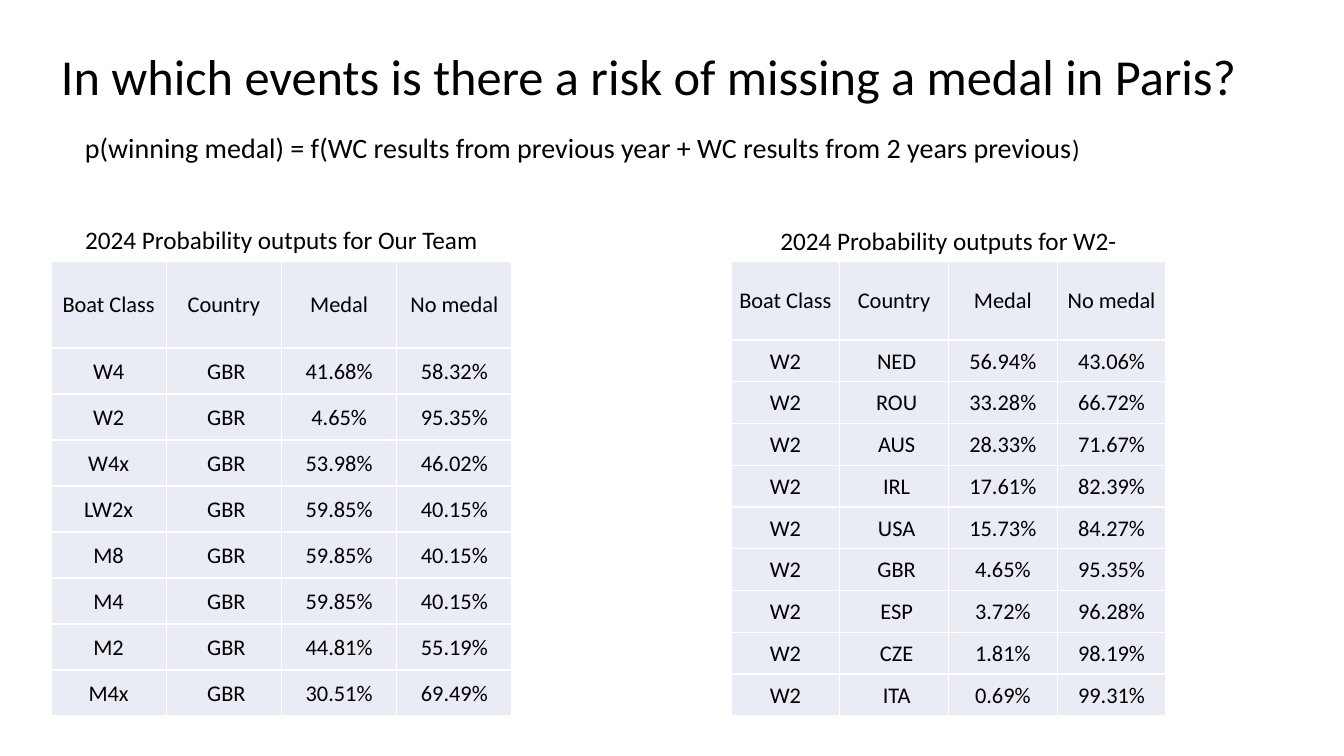
from lxml import etree
from pptx import Presentation
from pptx import util as u
from pptx.dml import color
from pptx.enum import text
from pptx.oxml import ns

SCALE = 914400 / 100.8  # EMU per pixel

theme = {
    "font": "Calibri",
    "ink": color.RGBColor.from_string("000000"),
    "cell": color.RGBColor.from_string("E9EBF5"),
    "border": "FFFFFF",
    "title": 36, "formula": 20, "caption": 18, "table": 16,
}


def px(value):
    return u.Emu(round(value * SCALE))


def write(para, words, size, align=text.PP_ALIGN.LEFT):
    para.alignment = align
    span = para.add_run()
    span.text = words
    span.font.color.rgb = theme["ink"]
    for name, value in {"name": theme["font"], "size": u.Pt(size)}.items():
        setattr(span.font, name, value)


deck = Presentation()
deck.slide_width, deck.slide_height = px(1344), px(756)
page = deck.slides.add_slide(deck.slide_layouts[6])

# Table data: boat class or country, with medal probability in percent
columns = ["Boat Class", "Country", "Medal", "No medal"]
boats = [("W4", 41.68), ("W2", 4.65), ("W4x", 53.98), ("LW2x", 59.85),
         ("M8", 59.85), ("M4", 59.85), ("M2", 44.81), ("M4x", 30.51)]
countries = [("NED", 56.94), ("ROU", 33.28), ("AUS", 28.33), ("IRL", 17.61), ("USA", 15.73),
             ("GBR", 4.65), ("ESP", 3.72), ("CZE", 1.81), ("ITA", 0.69)]
tables = [
    (51, 461, 87, [(boat, "GBR", medal) for boat, medal in boats]),
    (731, 435, 79, [("W2", country, medal) for country, medal in countries]),
]
table_top, table_height = 261, 455

# Probability tables
cell_format = {"margin_left": px(1), "margin_right": px(1), "margin_top": px(1),
               "margin_bottom": 0, "vertical_anchor": text.MSO_ANCHOR.MIDDLE}
for left, width, header_height, odds in tables:
    rows = [columns] + [(boat, f"\u00a0{country}", f"{medal:.2f}%", f"{100 - medal:.2f}%")
                        for boat, country, medal in odds]
    body_height = (table_height - header_height) / len(odds)
    grid = page.shapes.add_table(len(rows), len(columns), px(left), px(table_top),
                                 px(width), px(table_height)).table
    for column in grid.columns:
        column.width = px(width / len(columns))
    for index, row in enumerate(rows):
        grid.rows[index].height = px(body_height if index else header_height)
        for place, words in enumerate(row):
            cell = grid.cell(index, place)
            for name, value in cell_format.items():
                setattr(cell, name, value)
            write(cell.text_frame.paragraphs[0], words, theme["table"], text.PP_ALIGN.CENTER)
            # Borders come before the fill in the cell properties
            properties = cell._tc.get_or_add_tcPr()
            for side in ("lnL", "lnR", "lnT", "lnB"):
                line = etree.SubElement(properties, ns.qn(f"a:{side}"), w=str(u.Pt(1)))
                solid = etree.SubElement(line, ns.qn("a:solidFill"))
                etree.SubElement(solid, ns.qn("a:srgbClr"), val=theme["border"])
            cell.fill.solid()
            cell.fill.fore_color.rgb = theme["cell"]

# Title, formula and table captions
left_align, center = text.PP_ALIGN.LEFT, text.PP_ALIGN.CENTER
labels = [
    (51, 40, 1281, 72, left_align,
     [("In which events is there a risk of missing a medal in Paris?", "title")]),
    (75, 126, 1152, 44, left_align,
     [("p(winning medal) = f(WC results from previous year + WC results from 2 years previous",
       "formula"), (")", "caption")]),
    (51, 219, 461, 42, center, [("2024 Probability outputs for Our Team", "caption")]),
    (731, 220, 435, 40, center, [("2024 Probability outputs for W2-", "caption")]),
]
box_format = {"word_wrap": True, "auto_size": text.MSO_AUTO_SIZE.SHAPE_TO_FIT_TEXT}
for left, top, width, height, align, spans in labels:
    box = page.shapes.add_textbox(px(left), px(top), px(width), px(height))
    for name, value in box_format.items():
        setattr(box.text_frame, name, value)
    for words, style in spans:
        write(box.text_frame.paragraphs[0], words, theme[style], align)

deck.save("out.pptx")
